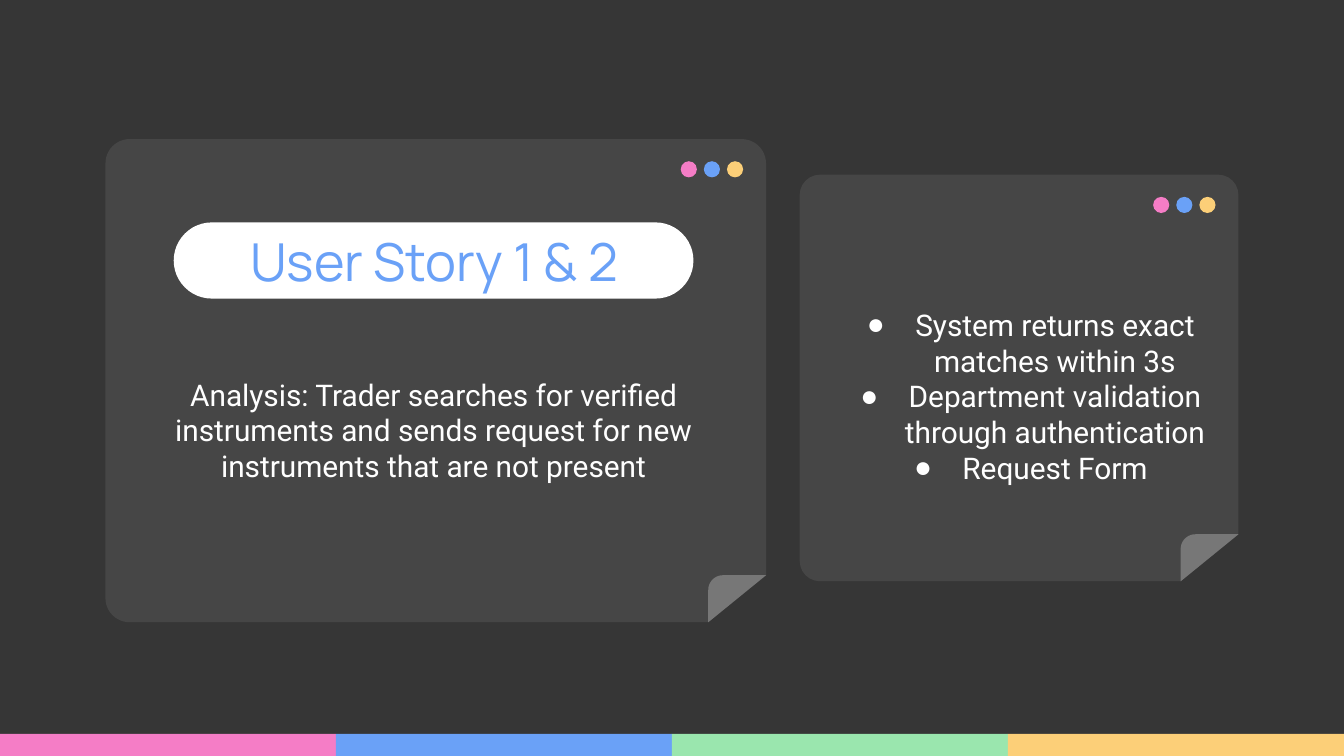
from dataclasses import dataclass
from math import cos, pi, sin

from lxml.etree import SubElement
from pptx import Presentation
from pptx.dml.color import RGBColor
from pptx.enum.shapes import MSO_SHAPE as Shape
from pptx.enum.text import MSO_ANCHOR as Anchor, MSO_AUTO_SIZE as AutoSize, PP_ALIGN as Align
from pptx.oxml.ns import qn
from pptx.util import Inches, Pt


@dataclass(frozen=True)
class Theme:
    back: str = "363636"
    card: str = "464646"
    fold: str = "777777"
    white: str = "FFFFFF"
    pink: str = "F57DC6"
    blue: str = "6AA1F7"
    green: str = "9AE6AE"
    yellow: str = "FCCF78"
    title_font: str = "Manrope"
    body_font: str = "Roboto"
    bullet_font: str = "Arial"
    title_size: int = 28
    body_size: int = 16


class Deck:
    COLS = 100
    FOLD_W, FOLD_H, FOLD_R = 4.3, 3.5, 1.1

    def __init__(self, theme):
        self.theme = theme
        self.prs = Presentation()
        self.prs.slide_width, self.prs.slide_height = Pt(720), Pt(405)
        self.cell = self.prs.slide_width / self.COLS
        self.rows = self.prs.slide_height / self.cell
        self.s = self.prs.slides.add_slide(self.prs.slide_layouts[3])
        fill = self.s.background.fill
        fill.solid()
        fill.fore_color.rgb = RGBColor.from_string(theme.back)

    def emu(self, *cells):
        return [round(c * self.cell) for c in cells]

    def paint(self, sp, color, outline=None):
        sp.shadow.inherit = False
        sp.fill.solid()
        sp.fill.fore_color.rgb = RGBColor.from_string(color)
        if outline:
            sp.line.color.rgb = RGBColor.from_string(color)
            sp.line.width = Pt(outline)
        else:
            sp.line.fill.background()
        return sp

    def shape(self, kind, box, color, parent=None, adj=None, outline=None):
        shapes = (parent or self.s).shapes
        sp = self.paint(shapes.add_shape(kind, *self.emu(*box)), color, outline)
        if adj is not None:
            sp.adjustments[0] = adj
        return sp

    def stripes(self, colors, height):
        w = self.COLS / len(colors)
        for i, color in enumerate(colors):
            self.shape(Shape.RECTANGLE, (i * w, self.rows - height, w, height), color)

    def card(self, x, y, w, h):
        t, group = self.theme, self.s.shapes.add_group_shape()
        right, bottom = x + w, y + h
        self.shape(Shape.ROUNDED_RECTANGLE, (x, y, w, h), t.card, group, adj=0.05)
        for i, color in enumerate((t.pink, t.blue, t.yellow)):
            self.shape(Shape.OVAL, (right - 6.35 + 1.72 * i, y + 1.65, 1.2, 1.2), color, group)
        corner = (right - 4.2, bottom - 3.4, 4.2, 3.4)
        sp = self.shape(Shape.RIGHT_TRIANGLE, corner, t.back, group, outline=0.75)
        sp._element.spPr.xfrm.set("flipH", "1")
        self.fold(group, right, bottom)

    def fold(self, group, right, bottom):
        left, top, r = right - self.FOLD_W, bottom - self.FOLD_H, self.FOLD_R
        angles = [i * pi / 20 for i in range(11)]
        arc = [(left + r - r * sin(a), top + r - r * cos(a)) for a in angles]
        points = [self.emu(*pt) for pt in arc[::-1] + [(right, top), (left, bottom)]]
        builder = group.shapes.build_freeform(*points[0])
        builder.add_line_segments(points[1:], close=True)
        self.paint(builder.convert_to_shape(), self.theme.fold)

    def text(self, idx, box, lines, font, size, color, bullet=None):
        sp = self.s.placeholders[idx]
        self.s.shapes._spTree.append(sp._element)
        sp.left, sp.top, sp.width, sp.height = self.emu(*box)
        tf, inset = sp.text_frame, Inches(0.1)
        frame = dict(word_wrap=True, auto_size=AutoSize.NONE, vertical_anchor=Anchor.MIDDLE,
                     margin_left=inset, margin_right=inset, margin_top=inset, margin_bottom=inset)
        self.apply(tf, frame)
        for i, line in enumerate(lines):
            p = tf.add_paragraph() if i else tf.paragraphs[0]
            self.bullet(p, bullet, color)
            self.apply(p, dict(alignment=Align.CENTER, space_before=Pt(0), line_spacing=1.0))
            r = p.add_run()
            r.text = line
            self.apply(r.font, dict(name=font, size=Pt(size)))
            r.font.color.rgb = RGBColor.from_string(color)

    @staticmethod
    def apply(target, values):
        for name, value in values.items():
            setattr(target, name, value)

    def bullet(self, p, char, color):
        pPr = p._p.get_or_add_pPr()
        pPr.set("marL", str(Inches(0.5) if char else 0))
        pPr.set("indent", str(Inches(-0.36) if char else 0))
        if not char:
            SubElement(pPr, qn("a:buNone"))
            return
        SubElement(SubElement(pPr, qn("a:buClr")), qn("a:srgbClr"), val=color)
        SubElement(pPr, qn("a:buFont"), typeface=self.theme.bullet_font)
        SubElement(pPr, qn("a:buChar"), char=char)


def main():
    t = Theme()
    deck = Deck(t)
    deck.stripes((t.pink, t.blue, t.green, t.yellow), 1.65)
    deck.card(59.5, 13, 32.65, 30.25)
    deck.card(7.85, 10.35, 49.15, 35.95)
    deck.shape(Shape.ROUNDED_RECTANGLE, (12.93, 16.55, 38.67, 5.67), t.white, adj=0.5)
    body = dict(font=t.body_font, size=t.body_size, color=t.white)
    deck.text(0, (14.6, 16.25, 35.4, 6.3), ["User Story 1 & 2"],
              t.title_font, t.title_size, t.blue)
    deck.text(1, (11.02, 24, 42.5, 16),
              ["Analysis: Trader searches for verified instruments and sends request "
               "for new instruments that are not present"], **body)
    deck.text(2, (60.5, 21.47, 31, 16),
              ["System returns exact matches within 3s",
               "Department validation through authentication",
               "Request Form"], bullet="●", **body)
    deck.prs.save("out.pptx")


if __name__ == "__main__":
    main()
